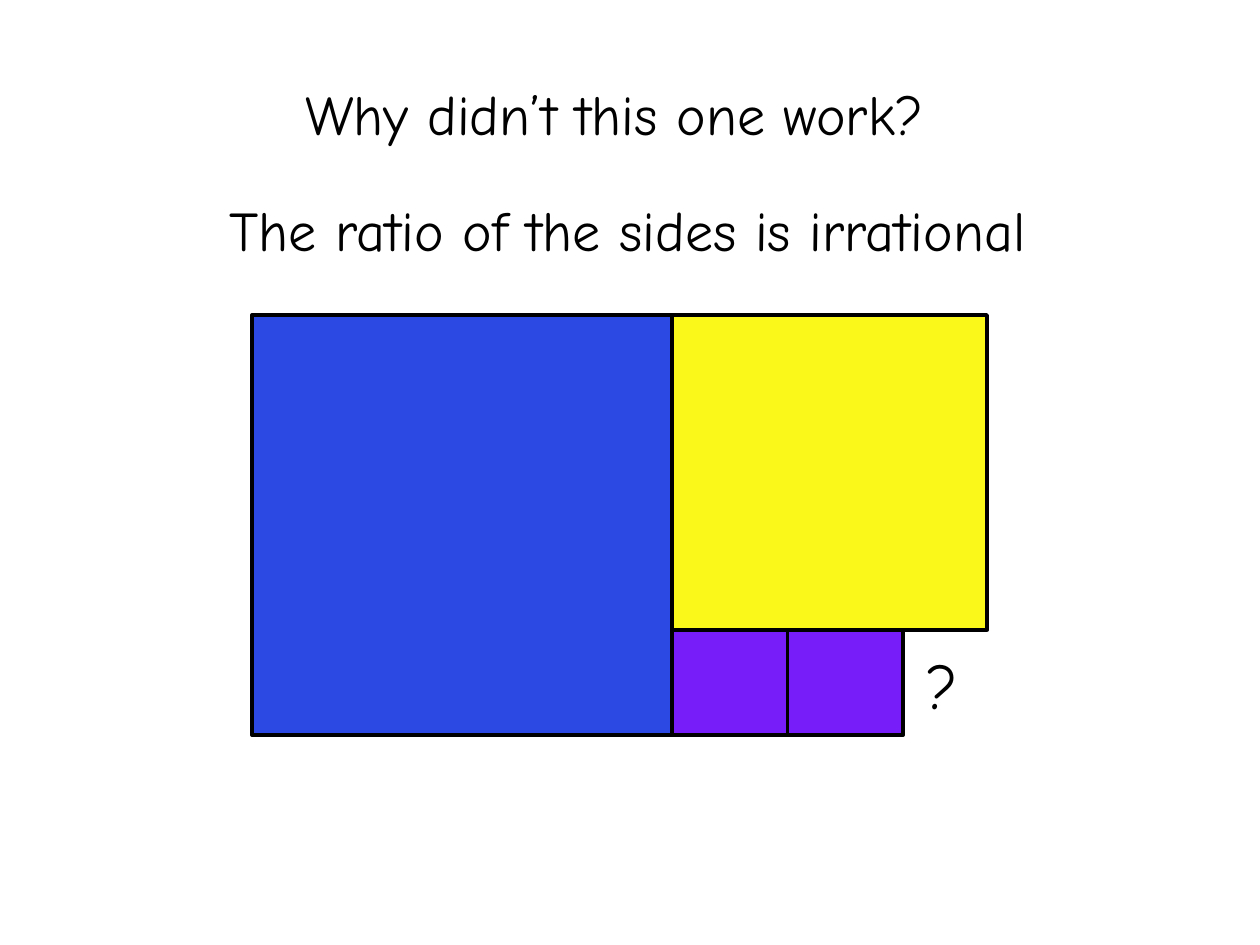
import pptx
import pptx.util
import pptx.dml.color
import pptx.enum.shapes
import pptx.enum.text

Cm = pptx.util.Cm
RGBColor = pptx.dml.color.RGBColor

BLACK = RGBColor(0x00, 0x00, 0x00)
BLUE = RGBColor(0x2C, 0x4A, 0xE3)
YELLOW = RGBColor(0xFA, 0xF7, 0x1B)
PURPLE = RGBColor(0x77, 0x1D, 0xFA)


def write(box, text, *, left, top, width, height, size=32, wrap=False):
    """Place a text holder and fill it with one formatted line."""
    box.left, box.top, box.width, box.height = Cm(left), Cm(top), Cm(width), Cm(height)
    frame = box.text_frame
    frame.text = text
    frame.word_wrap = wrap
    frame.auto_size = pptx.enum.text.MSO_AUTO_SIZE.SHAPE_TO_FIT_TEXT
    frame.vertical_anchor = pptx.enum.text.MSO_ANCHOR.TOP
    line = frame.paragraphs[0]
    line.alignment = pptx.enum.text.PP_ALIGN.LEFT
    line.font.name = "Comic Neue"
    line.font.size = pptx.util.Pt(size)
    line.font.color.rgb = BLACK


deck = pptx.Presentation()
deck.slide_width, deck.slide_height = Cm(25.4), Cm(19.05)
slide = deck.slides.add_slide(deck.slide_layouts[5])

# Question and answer
write(slide.shapes.title, "Why didn’t this one work?",
      left=5.9, top=1.48, width=13, height=1.62)
answer = slide.shapes.add_textbox(0, 0, 0, 0)
write(answer, "The ratio of the sides is irrational",
      left=4.38, top=3.81, width=16.6, height=1.62)

# Rectangle cut into squares: each cut starts where the last one ends
left, top = 5.08, 6.35
blue_side, yellow_side = 8.47, 6.35
purple_width, purple_height = 2.33, blue_side - yellow_side
middle = left + blue_side
below = top + yellow_side

tiles = [
    (left, top, blue_side, blue_side, BLUE, 2.25),
    (middle, top, yellow_side, yellow_side, YELLOW, 2),
    (middle + purple_width, below, purple_width, purple_height, PURPLE, 2),
    (middle, below, purple_width, purple_height, PURPLE, 2),
]
for x, y, width, height, color, outline in tiles:
    tile = slide.shapes.add_shape(pptx.enum.shapes.MSO_SHAPE.RECTANGLE,
                                  Cm(x), Cm(y), Cm(width), Cm(height))
    tile.shadow.inherit = False
    tile.fill.solid()
    tile.fill.fore_color.rgb = color
    tile.line.color.rgb = BLACK
    tile.line.width = pptx.util.Pt(outline)

# Leftover piece
leftover = slide.shapes.add_textbox(0, 0, 0, 0)
write(leftover, "?", left=18.42, top=12.9, width=1.07, height=1.78, size=36, wrap=True)

deck.save("out.pptx")
